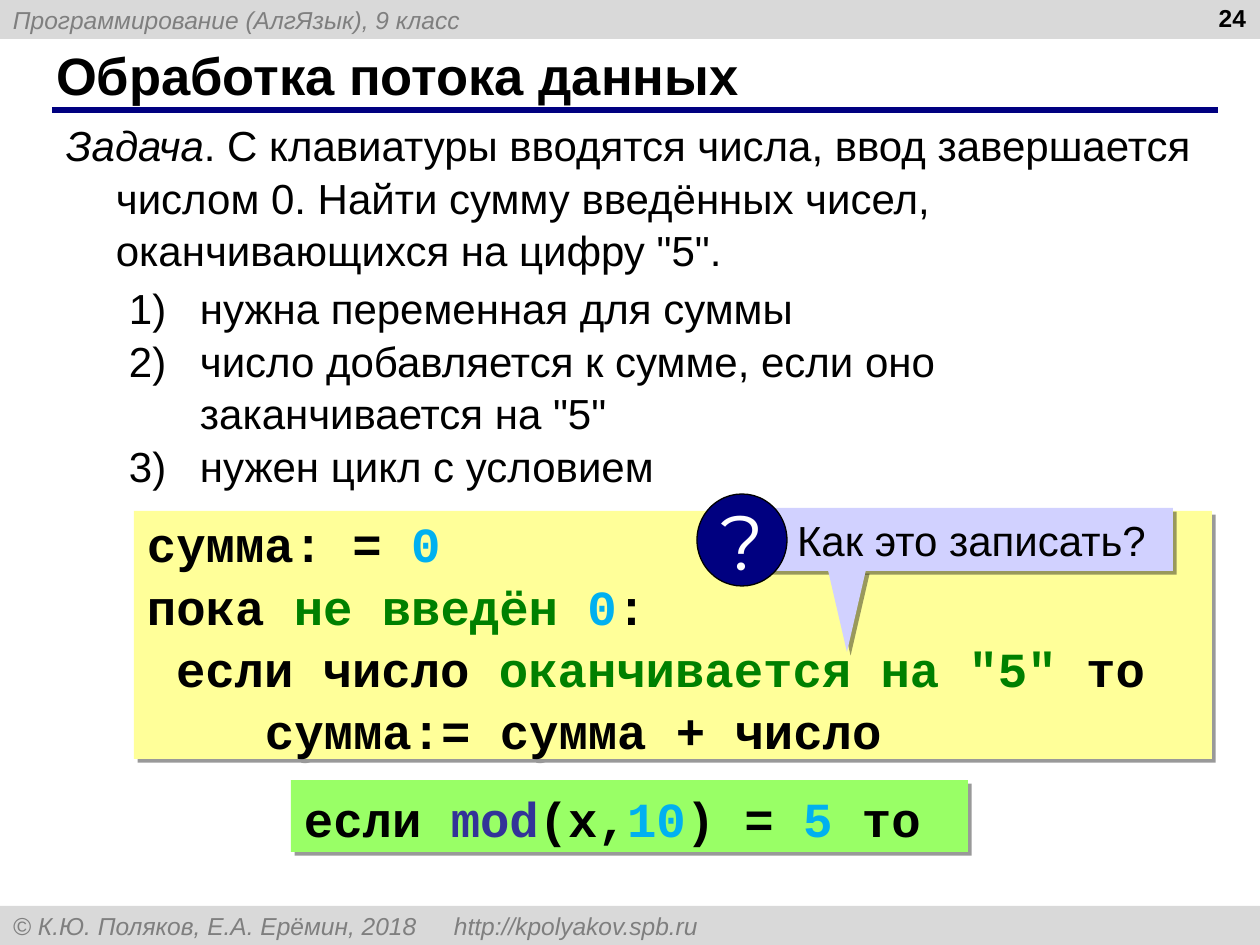
from dataclasses import dataclass
from typing import NamedTuple

from lxml import etree
from pptx import Presentation
from pptx import util as u
from pptx.dml.color import RGBColor
from pptx.enum import shapes, text
from pptx.oxml.ns import qn

EMU_PER_PX = 914400 / 126
BLACK, WHITE, NAVY = "000000", "FFFFFF", "000080"
BAR, MUTED, LILAC = "D9D9D9", "7F7F7F", "D1D1FF"
GREEN, CYAN, INDIGO = "008000", "00B0F0", "333399"
LEFT, CENTER, RIGHT = text.PP_ALIGN.LEFT, text.PP_ALIGN.CENTER, text.PP_ALIGN.RIGHT
TOP, MIDDLE = text.MSO_ANCHOR.TOP, text.MSO_ANCHOR.MIDDLE
RECT = shapes.MSO_SHAPE.RECTANGLE
OVAL = shapes.MSO_SHAPE.OVAL
TRIANGLE = shapes.MSO_SHAPE.FLOWED_TRIANGLE if hasattr(shapes.MSO_SHAPE, "FLOWED_TRIANGLE") else shapes.MSO_SHAPE.ISOSCELES_TRIANGLE


class Area(NamedTuple):
    left: int
    top: int
    width: int
    height: int


class Span(NamedTuple):
    text: str
    color: str = BLACK
    italic: bool = False


class Line(NamedTuple):
    spans: list[Span]
    margin: int = 0
    hanging: int = 0
    numbered: bool = False
    right_tab: int = 0


@dataclass(frozen=True)
class Style:
    size: int
    font: str = "Arial"
    bold: bool = False
    align: text.PP_ALIGN = LEFT
    anchor: text.MSO_ANCHOR = TOP
    spacing: float = 1.0
    wrap: bool = True
    inset: int = 13


BAR_STYLE = Style(14, anchor=MIDDLE)
TITLE = Style(30, bold=True, anchor=MIDDLE)
NUMBER = Style(14, bold=True, align=RIGHT)
BODY = Style(24, spacing=1.04)
CODE = Style(28, "Courier New", bold=True, anchor=MIDDLE, spacing=1.06)
CALLOUT = Style(24, anchor=MIDDLE, inset=36)
MARK = Style(44, "Montserrat", align=CENTER, anchor=MIDDLE, wrap=False)


def px(value: int) -> int:
    return round(value * EMU_PER_PX)


def rgb(color: str) -> RGBColor:
    return RGBColor.from_string(color)


def add_xml(parent, tag: str, **attributes: str):
    return etree.SubElement(parent, qn(tag), attributes)


def format_paragraph(para, line: Line, style: Style) -> None:
    para.alignment = style.align
    para.line_spacing = style.spacing
    props = para._p.get_or_add_pPr()
    props.set("marL", str(px(line.margin)))
    props.set("indent", str(-px(line.hanging)))
    if line.numbered:
        add_xml(props, "a:buFont", typeface="+mj-lt")
        add_xml(props, "a:buAutoNum", type="arabicParenR")
    if line.right_tab:
        tabs = add_xml(props, "a:tabLst")
        add_xml(tabs, "a:tab", pos=str(px(line.right_tab)), algn="r")
    para.font.name = style.font
    para.font.size = u.Pt(style.size)
    para.font.bold = style.bold


def write(box, lines: list[Line], style: Style) -> None:
    frame = box.text_frame
    frame.auto_size = text.MSO_AUTO_SIZE.NONE
    frame.word_wrap = style.wrap
    frame.vertical_anchor = style.anchor
    frame.margin_left, frame.margin_right = px(style.inset), px(13)
    frame.margin_top = frame.margin_bottom = px(6)
    for index, line in enumerate(lines):
        para = frame.add_paragraph() if index else frame.paragraphs[0]
        format_paragraph(para, line, style)
        for part in line.spans:
            span = para.add_run()
            span.text = part.text
            span.font.color.rgb = rgb(part.color)
            if part.italic:
                span.font.italic = True


def add_panel(parent, kind, area: Area, fill: str, outline: str = "", shadow: bool = False):
    box = parent.shapes.add_shape(kind, *map(px, area))
    box.shadow.inherit = False
    box.fill.solid()
    box.fill.fore_color.rgb = rgb(fill)
    if outline:
        box.line.color.rgb = rgb(outline)
        box.line.width = u.Pt(0.75)
    else:
        box.line.fill.background()
    if shadow:
        effects = box._element.spPr.find(qn("a:effectLst"))
        drop = add_xml(effects, "a:outerShdw", dist=str(u.Pt(3)), dir="2700000",
                       algn="ctr", rotWithShape="0")
        add_xml(add_xml(drop, "a:srgbClr", val=BLACK), "a:alpha", val="40000")
    return box


def add_text(page, area: Area, lines: list[Line], style: Style) -> None:
    write(page.shapes.add_textbox(*map(px, area)), lines, style)


def add_callout(page) -> None:
    group = page.shapes.add_group_shape()
    label = add_panel(group, RECT, Area(761, 508, 412, 63), LILAC, shadow=True)
    write(label, [Line([Span("Как это записать?")])], CALLOUT)
    mark = add_panel(group, OVAL, Area(697, 494, 90, 92), NAVY, outline=BLACK)
    write(mark, [Line([Span("?", WHITE)])], MARK)
    pointer = add_panel(group, TRIANGLE, Area(828, 570, 38, 82), LILAC, shadow=True)
    pointer._element.spPr.xfrm.set("flipV", "1")


def main() -> None:
    deck = Presentation()
    deck.slide_width, deck.slide_height = px(1260), px(945)
    page = deck.slides.add_slide(deck.slide_layouts[5])

    bars = [
        (0, Line([Span("Программирование (АлгЯзык), 9 класс", MUTED, True)])),
        (906, Line([Span("© К.Ю. Поляков, Е.А. Ерёмин, 2018\thttp://kpolyakov.spb.ru", MUTED, True)],
                   right_tab=1211)),
    ]
    for top, line in bars:
        write(add_panel(page, RECT, Area(0, top, 1260, 39), BAR), [line], BAR_STYLE)

    rule = page.shapes.add_connector(shapes.MSO_CONNECTOR.STRAIGHT, px(52), px(110), px(1218), px(110))
    rule.line.color.rgb = rgb(NAVY)
    rule.line.width = u.Pt(3)
    add_xml(rule._element.spPr, "a:effectLst")

    title = page.shapes.title
    title.left, title.top, title.width, title.height = map(px, Area(43, 42, 1154, 66))
    write(title, [Line([Span("Обработка потока данных")])], TITLE)
    add_text(page, Area(965, -3, 294, 66), [Line([Span("24")])], NUMBER)

    task = [Span("Задача", italic=True),
            Span(". С клавиатуры вводятся числа, ввод завершается числом 0. "
                 "Найти сумму введённых чисел, оканчивающихся на цифру \"5\".")]
    add_text(page, Area(53, 112, 1160, 164), [Line(task, 50, 50)], BODY)

    steps = ["нужна переменная для суммы",
             "число добавляется к сумме, если оно заканчивается на \"5\"",
             "нужен цикл с условием"]
    add_text(page, Area(116, 275, 1036, 214),
             [Line([Span(step)], 71, 71, numbered=True) for step in steps], BODY)

    loop = [
        Line([Span("сумма: = "), Span("0", CYAN)]),
        Line([Span("пока "), Span("не введён ", GREEN), Span("0", CYAN), Span(":")]),
        Line([Span("если число "), Span("оканчивается на \"5\" ", GREEN), Span("то")], margin=29),
        Line([Span("сумма:= сумма + число")], margin=118),
    ]
    write(add_panel(page, RECT, Area(134, 511, 1078, 248), "FFFF99", shadow=True), loop, CODE)
    add_callout(page)

    check = [Span("если "), Span("mod", INDIGO), Span("(x,"), Span("10", CYAN),
             Span(") = "), Span("5 ", CYAN), Span("то")]
    write(add_panel(page, RECT, Area(291, 780, 677, 72), "99FF66", shadow=True), [Line(check)], CODE)

    deck.save("out.pptx")


if __name__ == "__main__":
    main()
